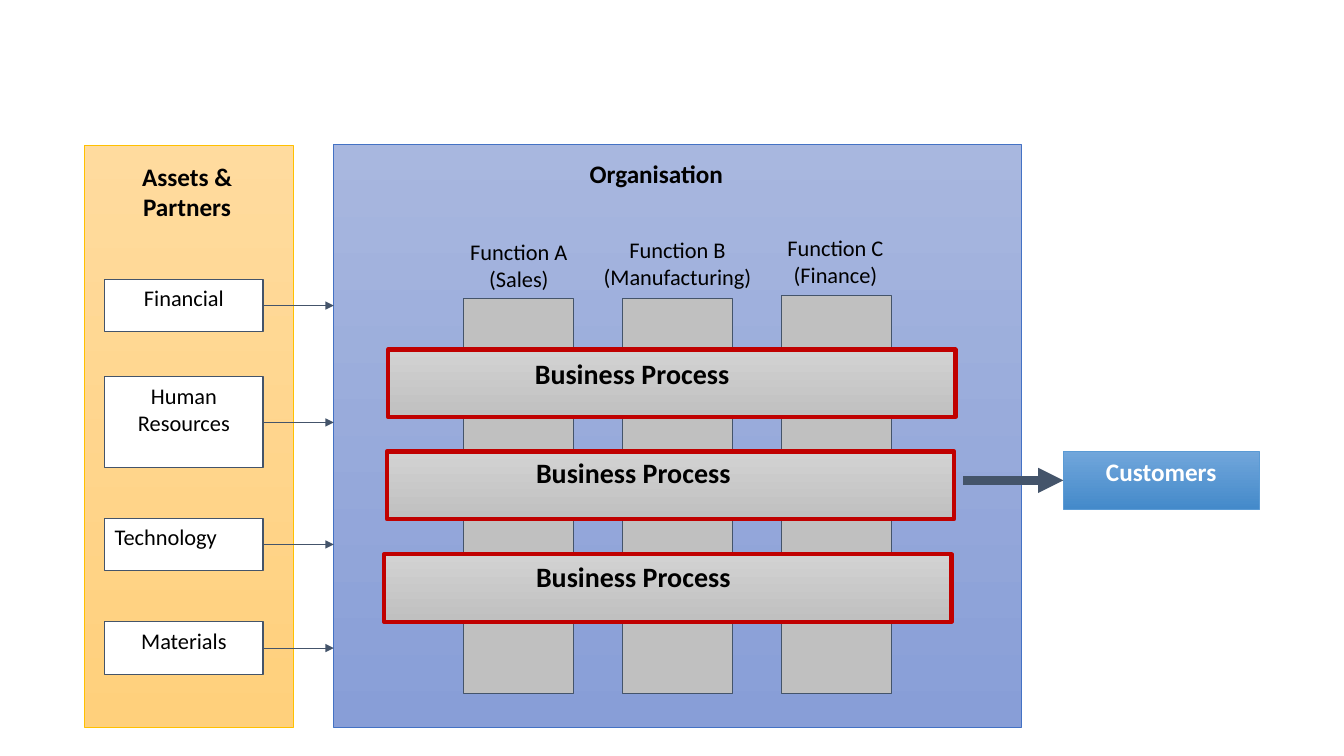
"""Build the slide that shows business processes crossing the functions of an organisation."""
from dataclasses import dataclass

from lxml import etree
from pptx import Presentation
from pptx.dml.color import RGBColor
from pptx.enum.shapes import MSO_CONNECTOR, MSO_SHAPE
from pptx.enum.text import MSO_ANCHOR, PP_ALIGN
from pptx.oxml.ns import qn
from pptx.util import Cm, Pt

RECTANGLE = MSO_SHAPE.RECTANGLE
STRAIGHT = MSO_CONNECTOR.STRAIGHT
TOP = MSO_ANCHOR.TOP
LEFT, CENTER = PP_ALIGN.LEFT, PP_ALIGN.CENTER
LEFT_SIDE, RIGHT_SIDE = 1, 3


@dataclass(frozen=True)
class Theme:
    font: str = "Calibri"
    black: str = "000000"
    white: str = "FFFFFF"
    slate: str = "44546A"
    column: str = "C0C0C0"
    amber: tuple = ("FFDB9E", "FFD07C")
    amber_line: str = "FFC000"
    blue: tuple = ("A8B7DF", "889ED7")
    blue_line: str = "4472C4"
    sky: tuple = ("71A6DB", "448ACA")
    sky_line: str = "5B9BD5"
    grey: tuple = ("D2D2D2", "C0C0C0")
    red: str = "C00000"
    body: int = 16
    heading: int = 18
    process: int = 20


theme = Theme()


def add_box(box, colors, line_color, line_width):
    """Add a rectangle filled with one colour or a vertical gradient."""
    shape = slide.shapes.add_shape(RECTANGLE, *map(Cm, box))
    shape.shadow.inherit = False
    if isinstance(colors, tuple):
        shape.fill.gradient()
        shape.fill.gradient_angle = 270
        for stop, color in zip(shape.fill.gradient_stops, colors):
            stop.color.rgb = RGBColor.from_string(color)
    else:
        shape.fill.solid()
        shape.fill.fore_color.rgb = RGBColor.from_string(colors)
    shape.line.color.rgb = RGBColor.from_string(line_color)
    shape.line.width = Pt(line_width)
    return shape


def write_text(shape, text, size, bold=False, alignment=CENTER, color=theme.black):
    """Write top-anchored text into a shape or text box."""
    frame = shape.text_frame
    frame.word_wrap = True
    frame.vertical_anchor = TOP
    frame.text = text
    font_format = {"name": theme.font, "size": Pt(size), "bold": bold}
    for paragraph in frame.paragraphs:
        paragraph.alignment = alignment
        for run in paragraph.runs:
            for attribute, value in font_format.items():
                setattr(run.font, attribute, value)
            run.font.color.rgb = RGBColor.from_string(color)


presentation = Presentation()
presentation.slide_width = Cm(33.87)
presentation.slide_height = Cm(19.05)
blank_layout = presentation.slide_layouts[6]
slide = presentation.slides.add_slide(blank_layout)

add_box((2.13, 3.66, 5.26, 14.66), theme.amber, theme.amber_line, 0.5)
organisation_left = 8.41
add_box((organisation_left, 3.63, 17.32, 14.71), theme.blue, theme.blue_line, 0.5)

headings = [
    ("Assets &\vPartners", (2.95, 3.94, 3.53, 2.54), CENTER),
    ("Organisation", (14.61, 3.86, 4.93, 1.45), LEFT),
]
for text, box, alignment in headings:
    text_box = slide.shapes.add_textbox(*map(Cm, box))
    write_text(text_box, text, theme.heading, bold=True, alignment=alignment)

connectors = []
assets = [
    ("Financial", 7.04, 1.32, CENTER),
    ("Human\vResources", 9.5, 2.29, CENTER),
    ("Technology", 13.06, 1.32, LEFT),
    ("Materials", 15.67, 1.32, CENTER),
]
for text, top, height, alignment in assets:
    asset = add_box((2.64, top, 3.99, height), theme.white, theme.slate, 0.75)
    write_text(asset, text, theme.body, alignment=alignment)
    middle = asset.top + asset.height // 2
    arrow = slide.shapes.add_connector(
        STRAIGHT, asset.left + asset.width, middle, Cm(organisation_left), middle
    )
    arrow.begin_connect(asset, RIGHT_SIDE)
    connectors.append((arrow, 0.75))

column_bottom = 17.48
functions = [
    ("Function A\n(Sales)", 7.52, (10.8, 5.87, 4.55, 1.63)),
    ("Function B\n(Manufacturing)", 7.52, (14.94, 5.82, 4.27, 1.63)),
    ("Function C\n(Finance)", 7.44, (18.77, 5.77, 4.57, 1.63)),
]
for index, (text, top, label_box) in enumerate(functions):
    column_box = (11.68 + index * 4.01, top, 2.77, column_bottom - top)
    add_box(column_box, theme.column, theme.slate, 0.75)
    label = slide.shapes.add_textbox(*map(Cm, label_box))
    write_text(label, text, theme.body)

processes = [
    ((9.78, 8.81), (13.23, 8.86)),
    ((9.75, 11.38), (13.26, 11.35)),
    ((9.68, 13.97), (13.26, 13.97)),
]
for bar_corner, label_corner in processes:
    add_box((*bar_corner, 14.3, 1.7), theme.grey, theme.red, 3)
    label = slide.shapes.add_textbox(*map(Cm, (*label_corner, 6.86, 1.57)))
    write_text(label, "Business Process", theme.process, bold=True, alignment=LEFT)

customers = add_box((26.8, 11.38, 4.93, 1.45), theme.sky, theme.sky_line, 0.5)
write_text(customers, "Customers", theme.heading, bold=True, color=theme.white)
middle = customers.top + customers.height // 2
delivery = slide.shapes.add_connector(STRAIGHT, Cm(24.28), middle, customers.left, middle)
delivery.end_connect(customers, LEFT_SIDE)
connectors.append((delivery, 6))

for connector, width in connectors:
    connector.line.color.rgb = RGBColor.from_string(theme.slate)
    connector.line.width = Pt(width)
    properties = connector.line._get_or_add_ln()
    etree.SubElement(properties, qn("a:tailEnd"), type="triangle")
    etree.SubElement(connector._element.spPr, qn("a:effectLst"))

presentation.save("out.pptx")
